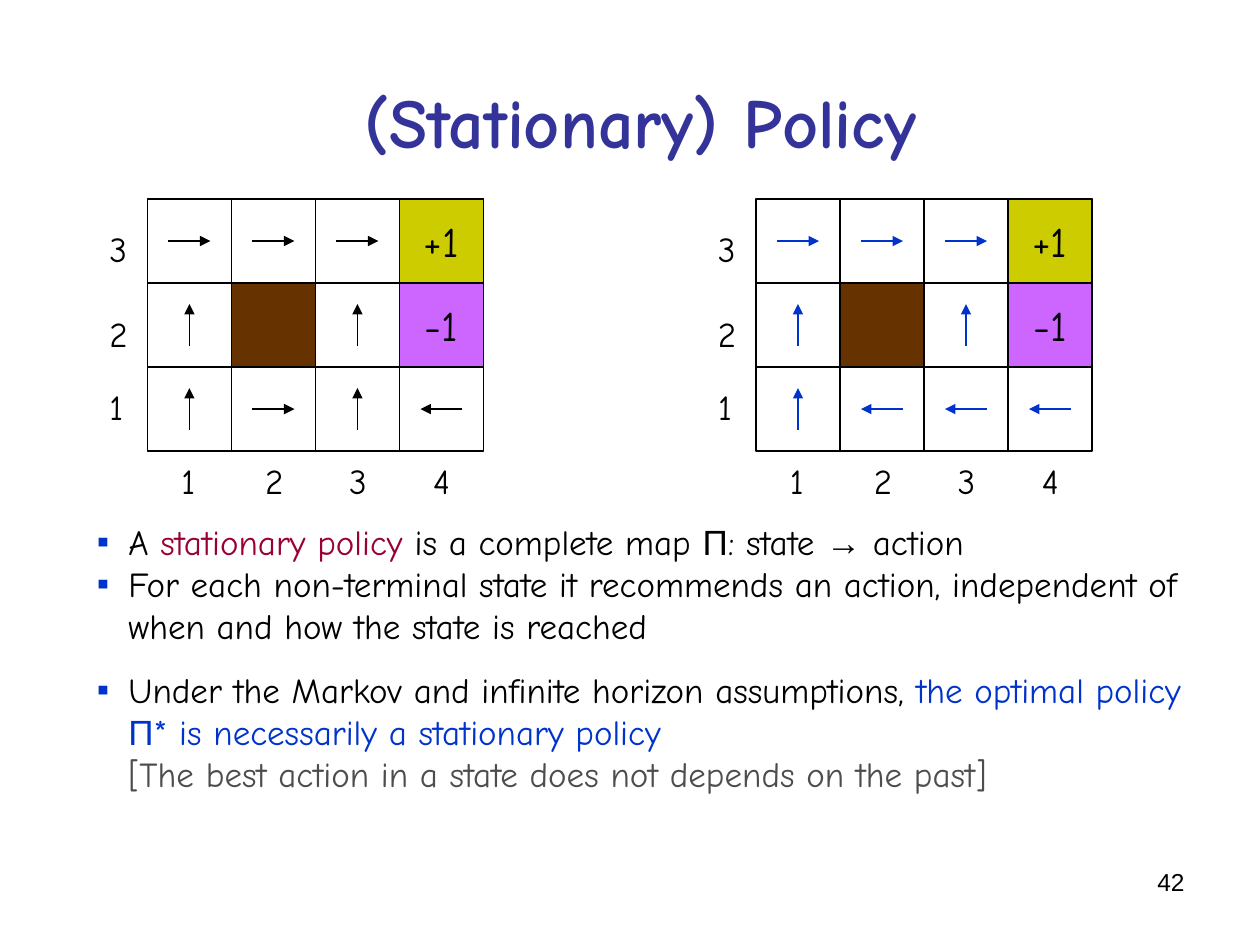
from lxml.etree import SubElement
from pptx import Presentation
from pptx.dml.color import RGBColor
from pptx.enum.shapes import MSO_CONNECTOR, MSO_SHAPE
from pptx.enum.text import MSO_ANCHOR, MSO_AUTO_SIZE, PP_ALIGN
from pptx.oxml.ns import qn
from pptx.util import Inches, Pt

BODY_FONT = "Comic Neue"
BLACK, BLUE = "000000", "0033CC"
CELL = 2 / 3
ARROW_STEPS = {"→": (1, 0), "←": (-1, 0), "↑": (0, -1)}
REWARDS = [("+1", "CCCC00"), ("-1", "CC66FF")]


def rgb(color):
    return RGBColor.from_string(color)


def add_run(paragraph, text, size, color=BLACK, font=BODY_FONT, bold=False):
    run = paragraph.add_run()
    run.text = text
    run.font.size = Pt(size)
    run.font.name = font
    run.font.bold = bold
    run.font.color.rgb = rgb(color)


def add_text(shapes, box, text, size, align=PP_ALIGN.LEFT, wrap=True, anchor=MSO_ANCHOR.TOP, **style):
    frame = shapes.add_textbox(*map(Inches, box)).text_frame
    frame.word_wrap = wrap
    frame.vertical_anchor = anchor
    if not wrap:
        frame.auto_size = MSO_AUTO_SIZE.SHAPE_TO_FIT_TEXT
    frame.paragraphs[0].alignment = align
    add_run(frame.paragraphs[0], text, size, **style)


def add_line(shapes, start, end, color=BLACK, arrow=False):
    line = shapes.add_connector(MSO_CONNECTOR.STRAIGHT, *map(Inches, (*start, *end)))
    line.line.color.rgb = rgb(color)
    line.line.width = Pt(0.75)
    if arrow:
        SubElement(line.line._get_or_add_ln(), qn("a:tailEnd"), type="triangle")
    SubElement(line._element.spPr, qn("a:effectLst"))
    return line


def add_rect(shapes, box, fill=None):
    rect = shapes.add_shape(MSO_SHAPE.RECTANGLE, *map(Inches, box))
    rect.shadow.inherit = False
    if fill:
        rect.fill.solid()
        rect.fill.fore_color.rgb = rgb(fill)
    else:
        rect.fill.background()
    rect.line.color.rgb = rgb(BLACK)
    rect.line.width = Pt(0.75)
    return rect


def add_axis_label(shapes, left, top, number):
    width = 0.31 if number == 1 else 0.34
    add_text(shapes, (left, top, width, 0.44), str(number), 20, wrap=False)


def add_policy_grid(slide, left, top, policy, arrow_color):
    shapes = slide.shapes.add_group_shape().shapes
    right, bottom = left + 4 * CELL, top + 3 * CELL
    frame = add_rect(shapes, (left, top, 4 * CELL, 3 * CELL))
    for column in range(1, 4):
        x = left + column * CELL
        divider = add_line(shapes, (x, top), (x, bottom))
        if column == 2:
            divider.begin_connect(frame, 0)
            divider.end_connect(frame, 2)
    for row in range(1, 3):
        y = top + row * CELL
        add_line(shapes, (left, y), (right, y))

    add_rect(shapes, (left + CELL, top + CELL, CELL, CELL), "663300")
    for number, offset in ((3, 0.18), (2, 0.85), (1, 1.43)):
        add_axis_label(shapes, left - 0.4, top + offset, number)
    for number in range(1, 5):
        add_axis_label(shapes, left + 0.17 + (number - 1) * CELL, bottom + 0.02, number)

    for row, (reward, fill) in enumerate(REWARDS):
        cell = add_rect(shapes, (left + 3 * CELL, top + row * CELL, CELL, CELL), fill)
        cell.text_frame.word_wrap = False
        cell.text_frame.vertical_anchor = MSO_ANCHOR.MIDDLE
        cell.text_frame.paragraphs[0].alignment = PP_ALIGN.CENTER
        add_run(cell.text_frame.paragraphs[0], reward, 24)

    for row, actions in enumerate(policy):
        for column, action in enumerate(actions):
            if action not in ARROW_STEPS:
                continue
            x, y = left + (column + 0.5) * CELL, top + (row + 0.5) * CELL
            dx, dy = (step * CELL / 4 for step in ARROW_STEPS[action])
            add_line(shapes, (x - dx, y - dy), (x + dx, y + dy), arrow_color, True)


def add_bullets(slide, box, bullets):
    frame = slide.shapes.add_textbox(*map(Inches, box)).text_frame
    frame.word_wrap = True
    for index, (space_before, runs) in enumerate(bullets):
        paragraph = frame.add_paragraph() if index else frame.paragraphs[0]
        paragraph.space_before = Pt(space_before)
        properties = paragraph._p.get_or_add_pPr()
        properties.set("marL", str(Inches(0.25)))
        properties.set("indent", str(Inches(-0.25)))
        bullet_color = SubElement(properties, qn("a:buClr"))
        SubElement(bullet_color, qn("a:srgbClr"), val=BLUE)
        SubElement(properties, qn("a:buFont"), typeface="Arial")
        SubElement(properties, qn("a:buChar"), char="▪")
        for text, color, font in runs:
            if text == "\n":
                paragraph.add_line_break()
            else:
                add_run(paragraph, text, 20, color, font)


def main():
    presentation = Presentation()
    presentation.slide_width, presentation.slide_height = Inches(10), Inches(7.5)
    slide = presentation.slides.add_slide(presentation.slide_layouts[6])

    add_text(slide.shapes, (0.67, 0.33, 8.83, 1.25), "(Stationary) Policy", 40,
             PP_ALIGN.CENTER, anchor=MSO_ANCHOR.MIDDLE, color="333399", bold=True)
    add_bullets(slide, (0.67, 4.08, 9.08, 2.27), [
        (0, [("A ", BLACK, BODY_FONT),
             ("stationary policy", "990033", BODY_FONT),
             (" is a complete map ", BLACK, BODY_FONT),
             ("Π", BLACK, "Arial"),
             (": state ", BLACK, BODY_FONT),
             ("→", BLACK, "Arial"),
             (" action", BLACK, BODY_FONT)]),
        (0, [("For each non-terminal state it recommends an action, independent of "
              "when and how the state is reached", BLACK, BODY_FONT)]),
        (12.5, [("Under the Markov and infinite horizon assumptions, ", BLACK, BODY_FONT),
                ("the optimal policy ", BLUE, BODY_FONT),
                ("Π", BLUE, "Arial"),
                ("* is necessarily a stationary policy ", BLUE, BODY_FONT),
                ("\n", BLUE, BODY_FONT),
                ("[The best action in a state does not depends on the past]", "4D4D4D", BODY_FONT)]),
    ])
    add_policy_grid(slide, 1.17, 1.58, ["→→→+", "↑■↑-", "↑→↑←"], BLACK)
    add_policy_grid(slide, 6, 1.58, ["→→→+", "↑■↑-", "↑←←←"], BLUE)
    add_text(slide.shapes, (7.17, 6.83, 2.33, 0.52), "42", 14, PP_ALIGN.RIGHT, font="Arial")

    presentation.save("out.pptx")


if __name__ == "__main__":
    main()
